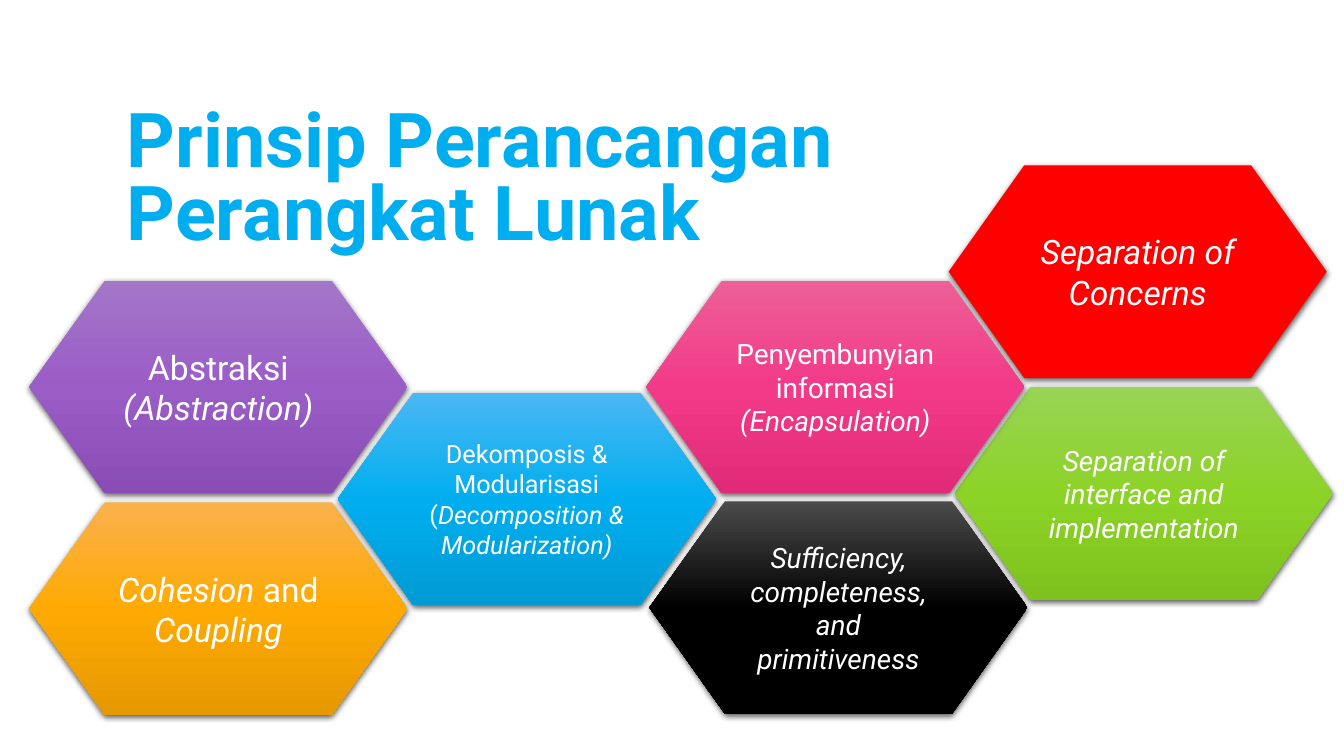
from pptx import Presentation
from pptx.dml.color import RGBColor
from pptx.enum.shapes import MSO_SHAPE as Shape
from pptx.enum.text import MSO_ANCHOR as Anchor, PP_ALIGN as Align
from pptx.oxml import parse_xml
from pptx.oxml.ns import qn
from pptx.util import Inches, Pt

DRAWING = 'xmlns:a="http://schemas.openxmlformats.org/drawingml/2006/main"'
FONT = "Roboto"
ORIGIN_X, ORIGIN_Y = 0.29, 1.64
COLUMN, ROW = 3.06, 1.1
HEX_WIDTH, HEX_HEIGHT = 3.75, 2.11

COLORS = {
    "title": "00AEEF",
    "text": "FFFFFF",
    "shadow": "000000",
    "purple": ("A476C8", "9A5DC6", "894DB5"),
    "orange": ("F9B14C", "FFAA03", "E59800"),
    "blue": ("4BB7F4", "00AEEF", "009BD4"),
    "green": ("98D455", "8CD328", "7EC21D"),
    "black": ("4B4B4B", "000000", "000000"),
    "red": ("FF0000",),
    "pink": ("EE6097", "F23A89", "E12A78"),
}

PRINCIPLES = [
    (0, 1.04, "purple", 24, [("Abstraksi ", False), ("(Abstraction)", True)]),
    (0, 3.04, "orange", 24, [("Cohesion", True), (" and ", False), ("Coupling", True)]),
    (1, 2.05, "blue", 18, [("Dekomposis & Modularisasi (", False),
                           ("Decomposition & Modularization)", True)]),
    (3, 2, "green", 20, [("Separation of interface and implementation", True)]),
    (2.01, 3.03, "black", 20, [("Sufficiency, completeness, and primitiveness", True)]),
    (2.98, 0, "red", 24, [("Separation of Concerns", True)]),
    (2, 1.04, "pink", 20, [("Penyembunyian informasi ", False), ("(Encapsulation)", True)]),
]


def add_span(para, text, size, color, bold=False, italic=False):
    span = para.add_run()
    span.text = text
    font = span.font
    font.name, font.size = FONT, Pt(size)
    font.bold, font.italic = bold, italic
    font.color.rgb = RGBColor.from_string(COLORS[color])


def fill_shape(shape, stops):
    if len(stops) == 1:
        shape.fill.solid()
        shape.fill.fore_color.rgb = RGBColor.from_string(stops[0])
        return
    marks = "".join(
        f'<a:gs pos="{index * 50000}"><a:srgbClr val="{color}"/></a:gs>'
        for index, color in enumerate(stops)
    )
    gradient = parse_xml(
        f'<a:gradFill {DRAWING} rotWithShape="1"><a:gsLst>{marks}</a:gsLst>'
        '<a:lin ang="5400000" scaled="0"/></a:gradFill>'
    )
    shape.element.spPr.find(qn("a:prstGeom")).addnext(gradient)


def add_shadow(shape):
    shape.shadow.inherit = False
    shape.element.spPr.find(qn("a:effectLst")).append(parse_xml(
        f'<a:outerShdw {DRAWING} blurRad="{Pt(4.5)}" dist="{Pt(1.5)}" dir="5400000" '
        f'algn="ctr" rotWithShape="0"><a:srgbClr val="{COLORS["shadow"]}">'
        '<a:alpha val="63000"/></a:srgbClr></a:outerShdw>'
    ))


def add_title(page, text):
    box = page.shapes.add_textbox(Inches(1.16), Inches(0.08), Inches(9.5), Inches(2.5))
    frame = box.text_frame
    frame.word_wrap = True
    frame.vertical_anchor = Anchor.BOTTOM
    para = frame.paragraphs[0]
    para.line_spacing = 0.8
    add_span(para, text, 54, "title", bold=True)


def add_hexagon(page, column, row, color, size, spans):
    hexagon = page.shapes.add_shape(
        Shape.FLOWCHART_PREPARATION,
        Inches(ORIGIN_X + column * COLUMN), Inches(ORIGIN_Y + row * ROW),
        Inches(HEX_WIDTH), Inches(HEX_HEIGHT),
    )
    fill_shape(hexagon, COLORS[color])
    hexagon.line.fill.background()
    add_shadow(hexagon)
    frame = hexagon.text_frame
    frame.word_wrap = True
    frame.vertical_anchor = Anchor.MIDDLE
    para = frame.paragraphs[0]
    para.alignment = Align.CENTER
    for text, italic in spans:
        add_span(para, text, size, "text", italic=italic)


def main():
    deck = Presentation()
    deck.slide_width, deck.slide_height = Inches(13.33), Inches(7.5)
    page = deck.slides.add_slide(deck.slide_layouts[6])
    add_title(page, "Prinsip Perancangan Perangkat Lunak")
    for principle in PRINCIPLES:
        add_hexagon(page, *principle)
    deck.save("out.pptx")


if __name__ == "__main__":
    main()
